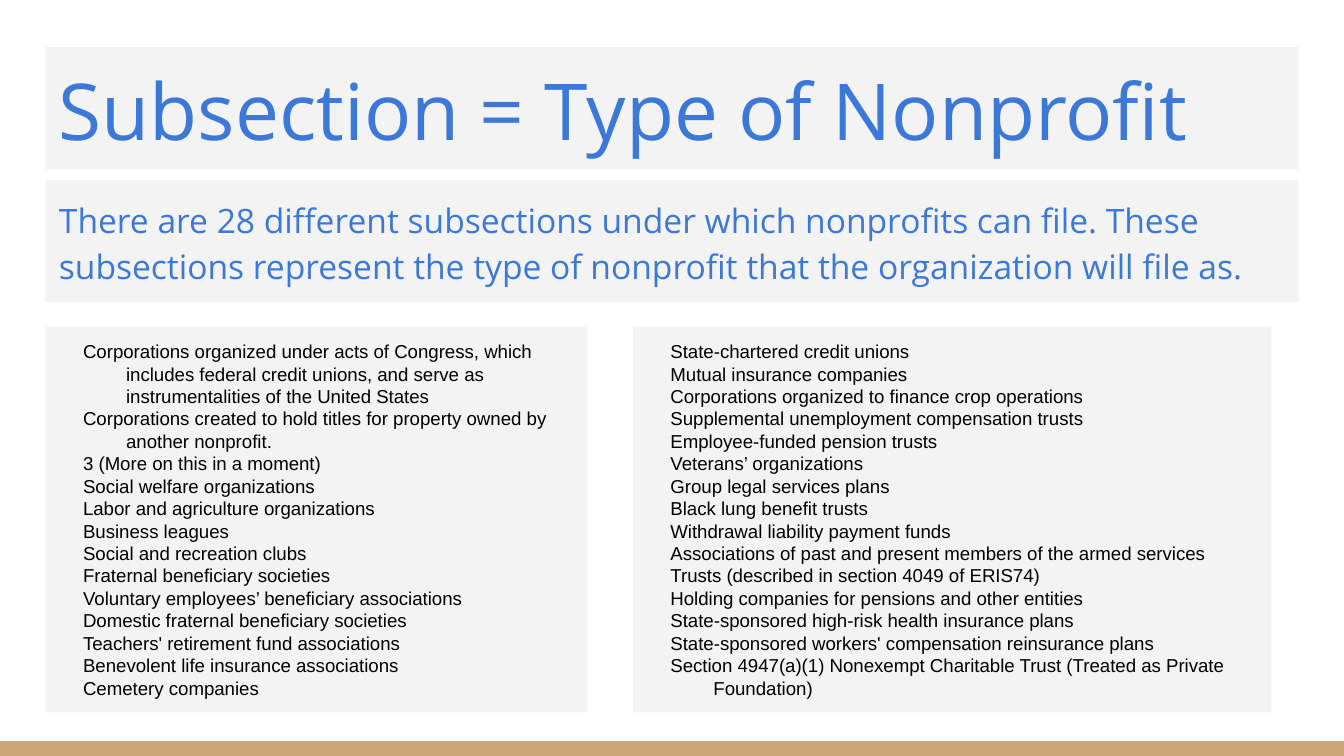
from pptx import Presentation
from pptx.dml.color import RGBColor
from pptx.enum.shapes import MSO_SHAPE
from pptx.enum.text import MSO_ANCHOR, PP_ALIGN
from pptx.util import Inches, Pt

RECTANGLE = MSO_SHAPE.RECTANGLE
TOP, BOTTOM = MSO_ANCHOR.TOP, MSO_ANCHOR.BOTTOM
LEFT_ALIGN = PP_ALIGN.LEFT

# Content
TITLE = "Subsection = Type of Nonprofit"
INTRO = ("There are 28 different subsections under which nonprofits can file. "
         "These subsections represent the type of nonprofit that the "
         "organization will file as.")
FIRST_SUBSECTIONS = [
    "Corporations organized under acts of Congress, which includes federal "
    "credit unions, and serve as instrumentalities of the United States",
    "Corporations created to hold titles for property owned by another nonprofit.",
    "3 (More on this in a moment)",
    "Social welfare organizations",
    "Labor and agriculture organizations",
    "Business leagues",
    "Social and recreation clubs",
    "Fraternal beneficiary societies",
    "Voluntary employees’ beneficiary associations",
    "Domestic fraternal beneficiary societies",
    "Teachers' retirement fund associations",
    "Benevolent life insurance associations",
    "Cemetery companies",
]
OTHER_SUBSECTIONS = [
    "State-chartered credit unions",
    "Mutual insurance companies",
    "Corporations organized to finance crop operations",
    "Supplemental unemployment compensation trusts",
    "Employee-funded pension trusts",
    "Veterans’ organizations",
    "Group legal services plans",
    "Black lung benefit trusts",
    "Withdrawal liability payment funds",
    "Associations of past and present members of the armed services",
    "Trusts (described in section 4049 of ERIS74)",
    "Holding companies for pensions and other entities",
    "State-sponsored high-risk health insurance plans",
    "State-sponsored workers' compensation reinsurance plans",
    "Section 4947(a)(1) Nonexempt Charitable Trust (Treated as Private Foundation)",
]

# Style and layout, in inches, on a 16:9 slide
BLUE, BLACK, GREY, TAN = "3C78D8", "000000", "F3F3F3", "CCA677"
WIDTH = 10
HEIGHT = WIDTH * 9 / 16
MARGIN, BANNER_HEIGHT = 0.34, 0.91
LIST_TOP, LIST_HEIGHT = 2.43, 2.87
BAR_HEIGHT = 0.11


def color(value):
    return RGBColor.from_string(value)


def add_panel(slide, left, top, width, height, fill):
    shape = slide.shapes.add_shape(
        RECTANGLE, Inches(left), Inches(top), Inches(width), Inches(height))
    shape.shadow.inherit = False
    shape.fill.solid()
    shape.fill.fore_color.rgb = color(fill)
    shape.line.fill.background()
    return shape


def add_text_panel(slide, box, lines, font, size, text_color,
                   anchor=TOP, hanging=False, line_spacing=1, space_after=0):
    frame = add_panel(slide, *box, GREY).text_frame
    frame.word_wrap = True
    frame.vertical_anchor = anchor
    frame.margin_left = frame.margin_right = Inches(0.1)
    frame.margin_top = frame.margin_bottom = Inches(0.1)
    for index, line in enumerate(lines):
        paragraph = frame.add_paragraph() if index else frame.paragraphs[0]
        paragraph.alignment = LEFT_ALIGN
        paragraph.line_spacing = line_spacing
        paragraph.space_after = Pt(space_after)
        if hanging:
            properties = paragraph._p.get_or_add_pPr()
            properties.set("marL", str(Inches(0.5)))
            properties.set("indent", str(Inches(-0.32)))
        run = paragraph.add_run()
        run.text = line
        run.font.name = font
        run.font.size = Pt(size)
        run.font.color.rgb = color(text_color)


presentation = Presentation()
presentation.slide_width = Inches(WIDTH)
presentation.slide_height = Inches(HEIGHT)
slide = presentation.slides.add_slide(presentation.slide_layouts[6])

# Bottom bar
add_panel(slide, 0, HEIGHT - BAR_HEIGHT, WIDTH, BAR_HEIGHT, TAN)

# Title and introduction
banner_width = WIDTH - 2 * MARGIN
add_text_panel(slide, (MARGIN, 0.35, banner_width, BANNER_HEIGHT), [TITLE],
               "Open Sans", 42, BLUE, anchor=BOTTOM)
add_text_panel(slide, (MARGIN, 1.34, banner_width, BANNER_HEIGHT), [INTRO],
               "Open Sans", 18, BLUE, line_spacing=1.15, space_after=16)

# Two lists of subsections
for left, width, subsections in [(MARGIN, 4.03, FIRST_SUBSECTIONS),
                                 (4.71, 4.75, OTHER_SUBSECTIONS)]:
    add_text_panel(slide, (left, LIST_TOP, width, LIST_HEIGHT), subsections,
                   "Arial", 10, BLACK, hanging=True)

presentation.save("out.pptx")
